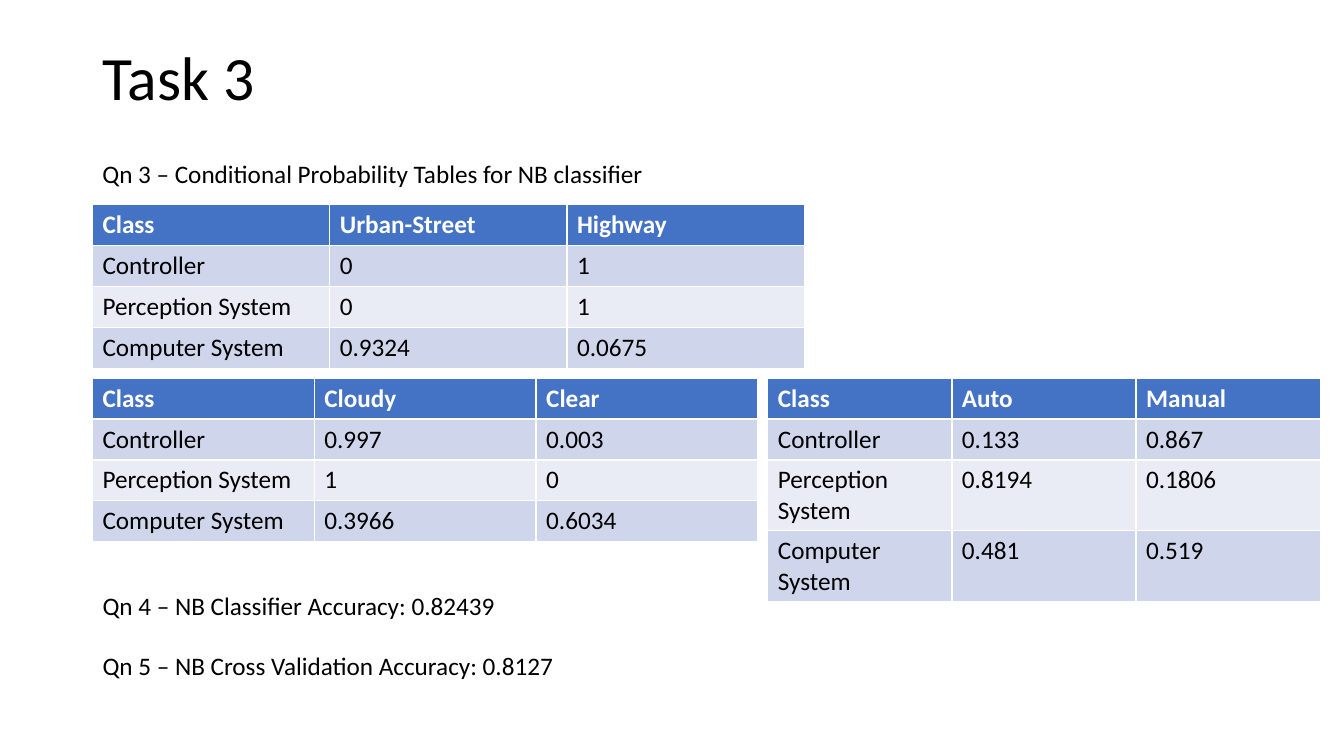
from dataclasses import dataclass

import lxml.etree
import pptx
import pptx.dml.color
import pptx.enum.text
import pptx.oxml.ns
import pptx.util

Cm = pptx.util.Cm
Pt = pptx.util.Pt


@dataclass(frozen=True)
class Theme:
    font: str = "Calibri"
    title_size: int = 44
    text_size: int = 18
    text: str = "000000"
    header_text: str = "FFFFFF"
    header_fill: str = "4472C4"
    bands: tuple[str, str] = ("CFD5EA", "E9EBF5")


@dataclass(frozen=True)
class ProbabilityTable:
    left: float
    top: float
    column_width: float
    outcomes: tuple[str, str]
    values: tuple[tuple[str, str], ...]


THEME = Theme()
CLASSES = ("Controller", "Perception System", "Computer System")
LEFT = 2.33
ROW_HEIGHT = 1.03
LOWER_TOP = 9.53
WEATHER_COLUMN = 5.59
TABLE_GAP = 0.25

TABLES = (
    ProbabilityTable(LEFT, 5.16, 5.98, ("Urban-Street", "Highway"),
                     (("0", "1"), ("0", "1"), ("0.9324", "0.0675"))),
    ProbabilityTable(LEFT, LOWER_TOP, WEATHER_COLUMN, ("Cloudy", "Clear"),
                     (("0.997", "0.003"), ("1", "0"), ("0.3966", "0.6034"))),
    ProbabilityTable(LEFT + 3 * WEATHER_COLUMN + TABLE_GAP, LOWER_TOP, 4.64,
                     ("Auto", "Manual"),
                     (("0.133", "0.867"), ("0.8194", "0.1806"), ("0.481", "0.519"))),
)


def apply(target: object, formats: dict[str, object]) -> None:
    for name, value in formats.items():
        setattr(target, name, value)


def write(para: object, text: str, size: int = THEME.text_size,
          color: str = THEME.text, bold: bool = False) -> None:
    span = para.add_run()
    span.text = text
    apply(span.font, {"name": THEME.font, "size": Pt(size), "bold": bold})
    span.font.color.rgb = pptx.dml.color.RGBColor.from_string(color)


def place(box: object, left: float, top: float, width: float, height: float) -> None:
    apply(box, {"left": Cm(left), "top": Cm(top), "width": Cm(width), "height": Cm(height)})


def remove_bullet(para: object) -> None:
    properties = para._p.get_or_add_pPr()
    properties.set("marL", "0")
    properties.set("indent", "0")
    lxml.etree.SubElement(properties, pptx.oxml.ns.qn("a:buNone"))


def add_probability_table(page: object, spec_table: ProbabilityTable) -> None:
    rows = [("Class", *spec_table.outcomes)]
    rows += [(name, *pair) for name, pair in zip(CLASSES, spec_table.values)]
    columns = len(rows[0])
    grid = page.shapes.add_table(
        len(rows), columns, Cm(spec_table.left), Cm(spec_table.top),
        Cm(columns * spec_table.column_width), Cm(len(rows) * ROW_HEIGHT)).table
    for row_index, row in enumerate(rows):
        header = row_index == 0
        fill = THEME.header_fill if header else THEME.bands[(row_index - 1) % 2]
        color = THEME.header_text if header else THEME.text
        for column_index, text in enumerate(row):
            cell = grid.cell(row_index, column_index)
            cell.fill.solid()
            cell.fill.fore_color.rgb = pptx.dml.color.RGBColor.from_string(fill)
            write(cell.text_frame.paragraphs[0], text, color=color, bold=header)


deck = pptx.Presentation()
apply(deck, {"slide_width": Cm(33.87), "slide_height": Cm(19.05)})
page = deck.slides.add_slide(deck.slide_layouts[1])
title, answers = page.placeholders

# Title
place(title, LEFT, 0.18, 29.21, 3.68)
apply(title.text_frame, {"vertical_anchor": pptx.enum.text.MSO_ANCHOR.MIDDLE,
                         "auto_size": pptx.enum.text.MSO_AUTO_SIZE.NONE})
heading = title.text_frame.paragraphs[0]
apply(heading, {"alignment": pptx.enum.text.PP_ALIGN.LEFT, "line_spacing": 0.9})
write(heading, "Task 3", THEME.title_size)

# Accuracy answers
place(answers, LEFT, 14.76, 17.48, 4.11)
answers.text_frame.auto_size = pptx.enum.text.MSO_AUTO_SIZE.NONE
for index, answer in enumerate(("Qn 4 – NB Classifier Accuracy: 0.82439",
                                "Qn 5 – NB Cross Validation Accuracy: 0.8127")):
    frame = answers.text_frame
    para = frame.add_paragraph() if index else frame.paragraphs[0]
    para.space_before = Pt(21 * index)
    remove_bullet(para)
    write(para, answer)

# Caption above the tables
caption = page.shapes.add_textbox(Cm(LEFT), Cm(3.86), Cm(17.48), Cm(1.03))
caption.text_frame.word_wrap = True
write(caption.text_frame.paragraphs[0],
      "Qn 3 – Conditional Probability Tables for NB classifier")

# Conditional probability tables
for probability_table in TABLES:
    add_probability_table(page, probability_table)

deck.save("out.pptx")
